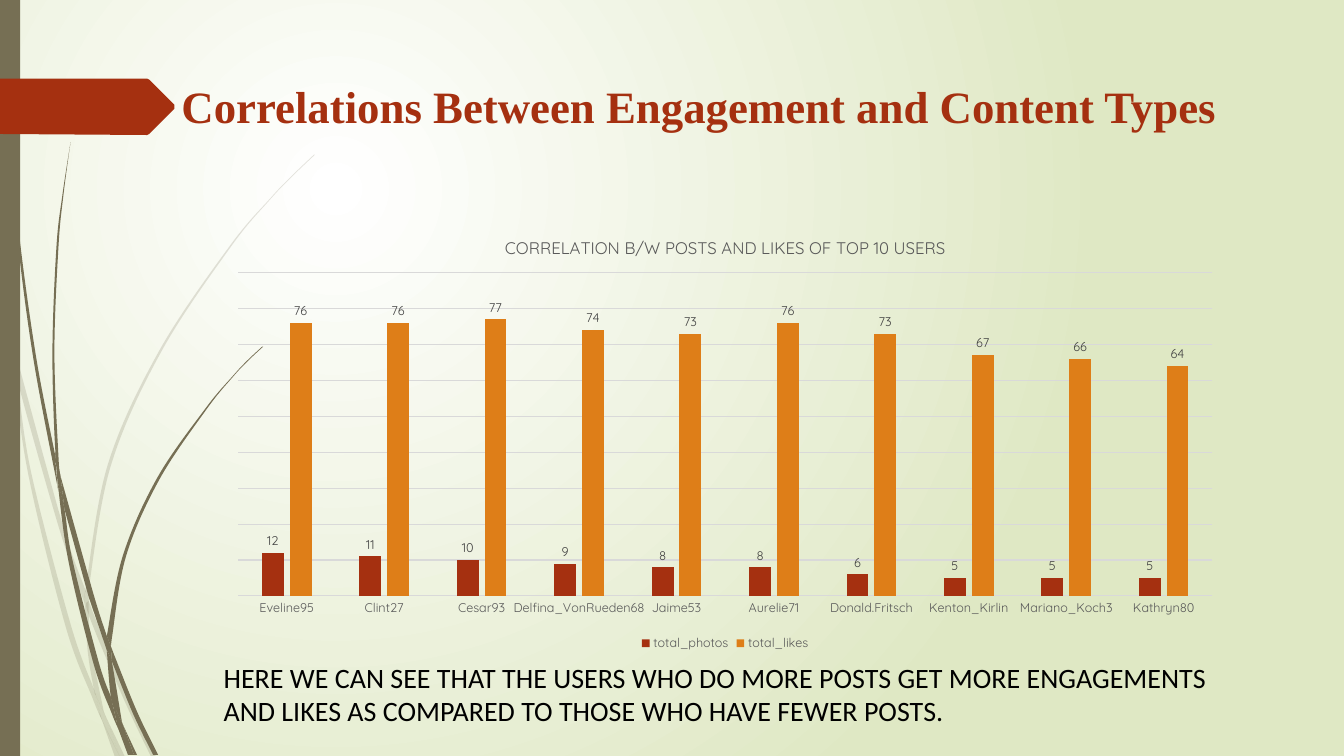
from lxml import etree
from pptx import Presentation
from pptx.chart.data import CategoryChartData
from pptx.dml.color import RGBColor
from pptx.enum.chart import XL_CHART_TYPE, XL_LABEL_POSITION, XL_LEGEND_POSITION, XL_TICK_MARK
from pptx.enum.shapes import MSO_SHAPE
from pptx.enum.text import MSO_ANCHOR, PP_ALIGN
from pptx.oxml.ns import qn
from pptx.util import Emu, Inches, Pt

COLUMNS = XL_CHART_TYPE.COLUMN_CLUSTERED
OUTSIDE_END = XL_LABEL_POSITION.OUTSIDE_END
BOTTOM = XL_LEGEND_POSITION.BOTTOM
NO_TICK = XL_TICK_MARK.NONE
RECTANGLE = MSO_SHAPE.RECTANGLE
MIDDLE, TOP, LEFT = MSO_ANCHOR.MIDDLE, MSO_ANCHOR.TOP, PP_ALIGN.LEFT

COLORS = {"red": "A53010", "orange": "DE7E18", "olive": "766F54", "white": "FFFFFF",
          "sage": "DFE8C4", "grid": "D9D9D9", "axis": "595959", "label": "404040", "black": "000000"}
CHART_FONT = "Quicksand"
CELL = Inches(1) / 12

USERS = ["Eveline95", "Clint27", "Cesar93", "Delfina_VonRueden68", "Jaime53", "Aurelie71",
         "Donald.Fritsch", "Kenton_Kirlin", "Mariano_Koch3", "Kathryn80"]
SERIES = [("total_photos", "red", [12, 11, 10, 9, 8, 8, 6, 5, 5, 5]),
          ("total_likes", "orange", [76, 76, 77, 74, 73, 76, 73, 67, 66, 64])]

PALE_BLADES = [
    ([(.11, 3.5), (.09, 3.22), (0, 2.82)], [(0, 2.99), (.1, 3.44)]),
    ([(.14, 3.45), (.17, 3.76), (.58, 5.22), (.84, 5.99)], [(.85, 5.86), (.62, 5.2), (.14, 3.45)]),
    ([(.88, 5.96), (.88, 6.1), (1.23, 6.94), (1.5, 7.51)], [(1.55, 7.51), (1.27, 6.92), (.92, 6.07)]),
    ([(1.19, 7.51)], [(1.24, 7.51), (1.05, 7.11)]),
    ([(.93, 6.83), (.7, 6.19), (.31, 4.69), (.17, 3.76), (.11, 3.5)],
     [(.11, 3.5), (.28, 4.7), (.65, 6.21), (.92, 6.93), (1.01, 7.14), (.99, 7.07)]),
    ([(.84, 5.99), (.87, 6.46), (.93, 6.83), (.96, 6.92), (1.05, 7.11)],
     [(1.03, 7.06), (.91, 6.46), (.88, 6.1), (.88, 6.08)]),
    ([(.88, 5.84), (1.1, 4.62), (1.6, 3.49), (2.29, 2.45), (2.68, 1.98), (2.9, 1.75), (3.12, 1.54)],
     [(3.12, 1.53), (2.89, 1.75), (2.68, 1.97), (2.28, 2.44), (1.58, 3.48), (1.07, 4.61),
      (.85, 5.84), (.85, 5.86)], [(.88, 5.96)]),
    ([(1.01, 7.14), (1.14, 7.51)], [(1.19, 7.51)]),
    ([(.88, 6.08), (.88, 6.1), (.88, 5.96)], [(.85, 5.86), (.84, 5.99)]),
    ([(.96, 6.92), (.93, 6.83)], [(.99, 7.07), (1.01, 7.14), (1.19, 7.51)], [(1.05, 7.11)]),
]
DARK_BLADES = [
    ([(.07, 1.1), (.17, 2.33), (.33, 3.55), (.56, 4.77), (.57, 4.81)],
     [(.55, 4.57), (.55, 4.53), (.36, 3.55), (.19, 2.32), (.08, 1.09), (.05, .48), (.04, 0)],
     [(.03, 0), (.04, .48), (.07, 1.1)]),
    ([(.88, 5.92), (1.06, 6.45)],
     [(1.06, 6.33), (1.06, 6.31), (.93, 5.9), (.6, 4.72)], [(.64, 5.05), (.88, 5.92)]),
    ([(1.13, 6.49), (1.1, 6.41)],
     [(1.11, 6.56), (1.32, 7.08), (1.52, 7.49)], [(1.57, 7.49), (1.36, 7.06), (1.13, 6.49)]),
    ([(1.1, 6.91), (.98, 6.57), (.72, 5.56), (.64, 5.05), (.57, 4.77)],
     [(.57, 4.77), (.68, 5.57), (.93, 6.59), (1.11, 7.08), (1.17, 7.22)], [(1.16, 7.17)]),
    ([(.6, 4.72), (.58, 4.53), (.54, 3.49), (.58, 2.45), (.63, 1.93), (.7, 1.41)],
     [(.7, 1.41), (.62, 1.93), (.56, 2.45), (.52, 3.49), (.55, 4.49), (.6, 4.72)]),
    ([(1.33, 7.49)], [(1.36, 7.49), (1.22, 7.19)]),
    ([(.57, 4.77), (.64, 5.05)], [(.6, 4.72), (.55, 4.49), (.55, 4.53)]),
    ([(1.11, 6.33), (1.25, 5.52), (1.58, 4.76), (2.05, 4.06), (2.31, 3.74), (2.45, 3.59), (2.61, 3.44)],
     [(2.6, 3.44), (2.45, 3.58), (2.31, 3.73), (2.04, 4.05), (1.56, 4.74), (1.22, 5.51),
      (1.06, 6.31)], [(1.1, 6.41)]),
    ([(1.17, 7.22), (1.27, 7.49)], [(1.31, 7.49)]),
    ([(1.06, 6.45), (1.1, 6.91), (1.16, 7.06), (1.22, 7.19)], [(1.21, 7.16), (1.11, 6.56), (1.09, 6.51)]),
    ([(1.06, 6.45), (1.09, 6.51), (1.11, 6.56)], [(1.1, 6.41), (1.06, 6.31), (1.06, 6.33)]),
    ([(1.16, 7.06), (1.1, 6.91)], [(1.16, 7.17), (1.17, 7.22), (1.3, 7.49)],
     [(1.33, 7.49), (1.22, 7.19)]),
]
ARROW_CORNERS = [(0, .78), (1.46, .78), (1.48, .79), (1.73, 1.04), (1.73, 1.08),
                 (1.48, 1.33), (1.46, 1.34), (0, 1.33)]


def rgb(name):
    """Return the named colour."""
    return RGBColor.from_string(COLORS[name])


def cells(box):
    """Turn grid columns and rows into slide lengths."""
    return [Emu(round(value * CELL)) for value in box]


def style_font(font, size, color, name, bold=False):
    """Format a font."""
    font.size, font.name, font.bold = Pt(size), name, bold
    font.color.rgb = rgb(color)


def paint(shape, color, opacity=100):
    """Give a shape a plain fill without line or shadow."""
    shape.shadow.inherit = False
    shape.fill.solid()
    shape.fill.fore_color.rgb = rgb(color)
    shape.line.fill.background()
    if opacity < 100:
        tint = shape._element.spPr.find(qn("a:solidFill"))[0]
        etree.SubElement(tint, qn("a:alpha")).set("val", str(opacity * 1000))


def bend_edges(shape, edges):
    """Turn the straight steps inside each edge into smooth curves."""
    steps = shape._element.xpath(".//a:moveTo | .//a:lnTo")
    spots = [(int(step[0].get("x")), int(step[0].get("y"))) for step in steps]
    first = 0
    for edge in edges:
        last = first + len(edge) - 1
        for i in range(first + 1, last + 1):
            before, start, end, after = (spots[max(first, min(last, k))] for k in range(i - 2, i + 2))
            curve = etree.Element(qn("a:cubicBezTo"))
            handles = ([s + (e - b) / 6 for b, s, e in zip(before, start, end)],
                       [e - (a - s) / 6 for s, e, a in zip(start, end, after)], end)
            for x, y in handles:
                etree.SubElement(curve, qn("a:pt"), x=str(round(x)), y=str(round(y)))
            steps[i].getparent().replace(steps[i], curve)
        first = last + 1


def add_outline(shapes, box, edges, color, opacity=100):
    """Draw one closed outline from its edges, given in inches from the box corner."""
    left, top, _, _ = cells(box)
    spots = [(left + x * Inches(1), top + y * Inches(1)) for edge in edges for x, y in edge]
    builder = shapes.build_freeform(*spots[0])
    builder.add_line_segments(spots[1:], close=True)
    shape = builder.convert_to_shape()
    bend_edges(shape, edges)
    paint(shape, color, opacity)


def add_background(page):
    """Fill the page with a radial glow."""
    fill = page.background.fill
    fill.gradient()
    for stop, color, position in zip(fill.gradient_stops, ("white", "sage"), (0, 1)):
        stop.color.rgb = rgb(color)
        stop.position = position
    gradient = page._element.xpath(".//p:bg//a:gradFill")[0]
    gradient.remove(gradient.find(qn("a:lin")))
    glow = etree.SubElement(gradient, qn("a:path"))
    glow.set("path", "circle")
    focus = etree.SubElement(glow, qn("a:fillToRect"))
    for side, share in zip("ltrb", (50, 50, 100, 100)):
        focus.set(side, str(share * 1000))


def add_decoration(page, box):
    """Draw the grass, the side bar and the title arrow."""
    left, top, _, height = box
    for blades, opacity in ((PALE_BLADES, 20), (DARK_BLADES, 100)):
        tuft = page.shapes.add_group_shape()
        for edges in blades:
            add_outline(tuft.shapes, box, edges, "olive", opacity)
    paint(page.shapes.add_shape(RECTANGLE, *cells((left, top, 2.4, height))), "olive")
    add_outline(page.shapes, box, [[corner] for corner in ARROW_CORNERS], "red")


def add_text(shape, box, text, size, color, font, bold, anchor):
    """Place a shape and fill it with one formatted paragraph."""
    shape.left, shape.top, shape.width, shape.height = cells(box)
    frame = shape.text_frame
    frame.text = text
    frame.word_wrap = True
    frame.vertical_anchor = anchor
    para = frame.paragraphs[0]
    para.alignment = LEFT
    style_font(para.runs[0].font, size, color, font, bold)


def set_layout(parent, index, **percents):
    """Fix a chart part at percents of the chart's size."""
    for old in parent.findall(qn("c:layout")):
        parent.remove(old)
    layout = etree.Element(qn("c:layout"))
    manual = etree.SubElement(layout, qn("c:manualLayout"))
    if "w" in percents:
        etree.SubElement(manual, qn("c:layoutTarget")).set("val", "inner")
    for key in ("x", "y"):
        etree.SubElement(manual, qn(f"c:{key}Mode")).set("val", "edge")
    for key, percent in percents.items():
        etree.SubElement(manual, qn(f"c:{key}")).set("val", str(percent / 100))
    parent.insert(index, layout)


def add_likes_chart(page, box):
    """Add the column chart of photos and likes per user."""
    chart_data = CategoryChartData()
    chart_data.categories = USERS
    for name, _, values in SERIES:
        chart_data.add_series(name, values)
    chart = page.shapes.add_chart(COLUMNS, *cells(box), chart_data).chart
    style_font(chart.font, 10, "black", CHART_FONT)
    title = chart.chart_title.text_frame
    title.text = "CORRELATION B/W POSTS AND LIKES OF TOP 10 USERS"
    style_font(title.paragraphs[0].runs[0].font, 12, "axis", CHART_FONT)
    set_layout(chart.chart_title._element, 1, x=28, y=3.1)
    set_layout(chart._chartSpace.xpath(".//c:plotArea")[0], 0, x=2, y=12.3, w=96, h=74.15)
    plot = chart.plots[0]
    plot.gap_width, plot.overlap, plot.vary_by_categories = 219, -27, False
    for series, (_, color, _) in zip(plot.series, SERIES):
        series.format.fill.solid()
        series.format.fill.fore_color.rgb = rgb(color)
        labels = series.data_labels
        labels.show_value, labels.position = True, OUTSIDE_END
        style_font(labels.font, 9, "label", CHART_FONT)
    users, scale = chart.category_axis, chart.value_axis
    users.major_tick_mark = NO_TICK
    style_font(users.tick_labels.font, 9, "axis", CHART_FONT)
    scale.minimum_scale, scale.maximum_scale, scale.major_unit = 0, 90, 10
    scale.visible = False
    for line in (users.format.line, scale.major_gridlines.format.line):
        line.color.rgb = rgb("grid")
        line.width = Pt(0.75)
    chart.has_legend = True
    chart.legend.position, chart.legend.include_in_layout = BOTTOM, False
    style_font(chart.legend.font, 9, "axis", CHART_FONT)


def main():
    """Build the slide and save the deck."""
    deck = Presentation()
    deck.slide_width, deck.slide_height = cells((160, 90))
    page = deck.slides.add_slide(deck.slide_layouts[5])
    add_background(page)
    add_decoration(page, (0, 0, 37.5, 90))
    add_text(page.shapes.title, (20.4, 8.52, 126.24, 9.24),
             "Correlations Between Engagement and Content Types",
             32, "red", "Times New Roman", True, MIDDLE)
    page.shapes.title.text_frame.margin_bottom = Inches(0.14)
    add_likes_chart(page, (25.92, 26.04, 120.84, 51.96))
    box = (25.44, 78, 120.84, 9.24)
    add_text(page.shapes.add_textbox(*cells(box)), box,
             "HERE WE CAN SEE THAT THE USERS WHO DO MORE POSTS GET MORE ENGAGEMENTS "
             "AND LIKES AS COMPARED TO THOSE WHO HAVE FEWER POSTS.",
             20, "black", "Calibri", False, TOP)
    deck.save("out.pptx")


if __name__ == "__main__":
    main()
